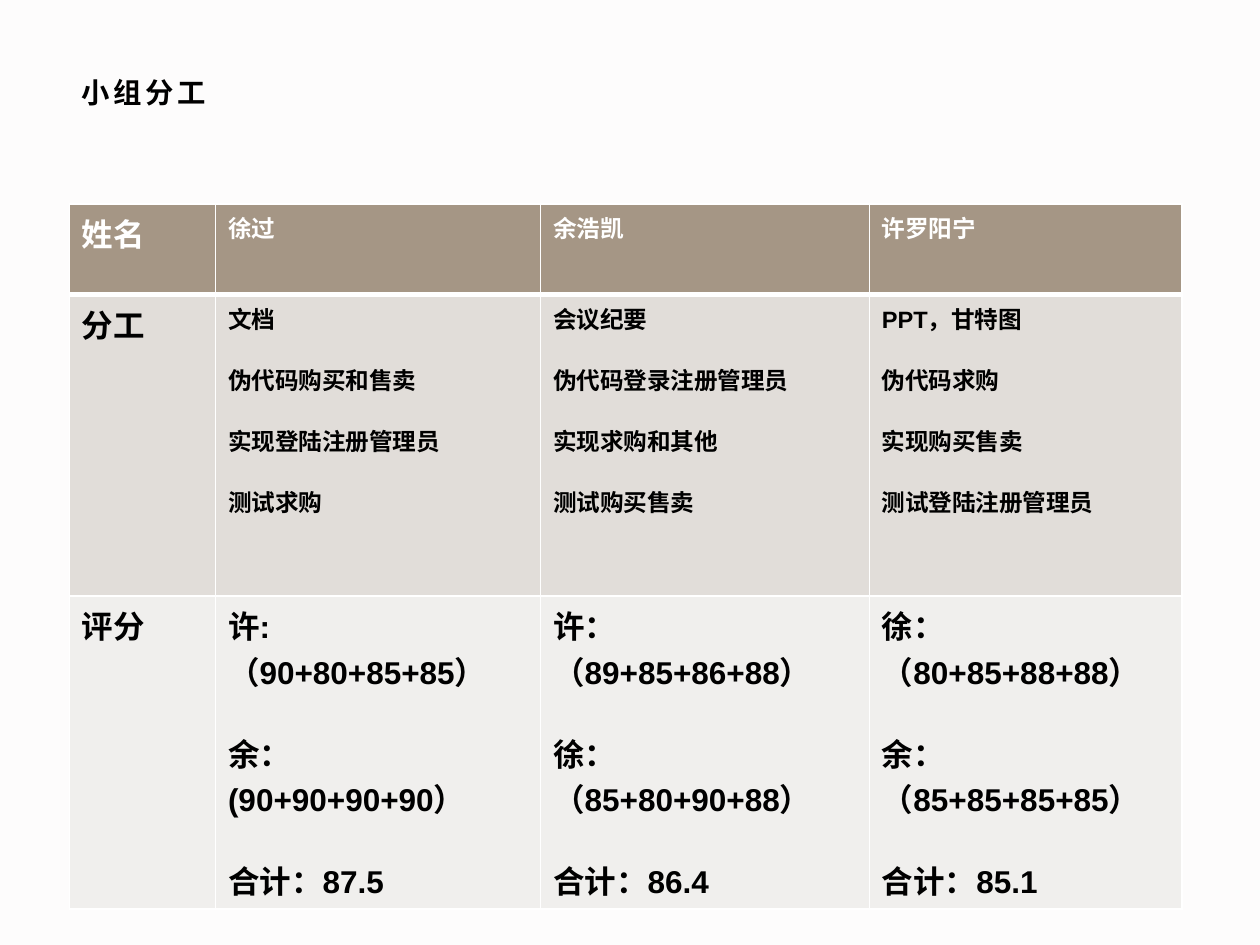
from lxml.etree import SubElement
from pptx import Presentation
from pptx.dml.color import RGBColor
from pptx.enum.text import MSO_ANCHOR, MSO_AUTO_SIZE, PP_ALIGN
from pptx.oxml.ns import qn
from pptx.util import Inches, Pt

COLORS = {
    "background": "FDFCFC",
    "header": "A59685",
    "duties": "E1DDD9",
    "scores": "F0EFED",
    "white": "FFFFFF",
    "black": "000000",
}
FONT = "Arial"
LARGE, SMALL = 18, 13.5
LINE_HEIGHT = 1.15

COLUMN_WIDTHS = [1.16, 2.58, 2.61, 2.48]
ROWS = [
    # height, fill, text colour, label, member text size, member cells
    (0.72, "header", "white", "姓名", SMALL,
     [["徐过"], ["余浩凯"], ["许罗阳宁"]]),
    (2.39, "duties", "black", "分工", SMALL,
     [["文档", "伪代码购买和售卖", "实现登陆注册管理员", "测试求购"],
      ["会议纪要", "伪代码登录注册管理员", "实现求购和其他", "测试购买售卖"],
      ["PPT，甘特图", "伪代码求购", "实现购买售卖", "测试登陆注册管理员"]]),
    (2.08, "scores", "black", "评分", LARGE,
     [["许:（90+80+85+85）", "余：(90+90+90+90）", "合计：87.5"],
      ["许：（89+85+86+88）", "徐：（85+80+90+88）", "合计：86.4"],
      ["徐：（80+85+88+88）", "余：（85+85+85+85）", "合计：85.1"]]),
]


def rgb(name):
    return RGBColor.from_string(COLORS[name])


class SlideBuilder:
    def __init__(self, presentation):
        self.width = presentation.slide_width
        self.height = presentation.slide_height
        self.slide = presentation.slides.add_slide(presentation.slide_layouts[5])
        background = self.slide.background.fill
        background.solid()
        background.fore_color.rgb = rgb("background")

    def box(self, left, top, width, height):
        """Turn shares of the slide's size into lengths."""
        return (round(left * self.width), round(top * self.height),
                round(width * self.width), round(height * self.height))

    def set_text(self, text_frame, lines, size, color):
        """Fill a frame, with an empty line's height between paragraphs."""
        text_frame.text = "\n".join(lines)
        for index, paragraph in enumerate(text_frame.paragraphs):
            paragraph.alignment = PP_ALIGN.LEFT
            if index:
                paragraph.space_before = Pt(round(size * LINE_HEIGHT, 1))
            for run in paragraph.runs:
                font = run.font
                font.name, font.size, font.bold = FONT, Pt(size), True
                font.color.rgb = rgb(color)

    def title(self, text, box, size, spacing):
        title = self.slide.shapes.title
        title.left, title.top, title.width, title.height = self.box(*box)
        frame = title.text_frame
        frame.auto_size = MSO_AUTO_SIZE.NONE
        frame.vertical_anchor = MSO_ANCHOR.MIDDLE
        self.set_text(frame, [text], size, "black")
        properties = frame.paragraphs[0].runs[0]._r.get_or_add_rPr()
        properties.set("spc", str(spacing * 100))

    def borders(self, cell, bottom, top):
        properties = cell._tc.get_or_add_tcPr()
        for side, width in (("L", 1), ("R", 1), ("T", top), ("B", bottom)):
            line = SubElement(properties, qn(f"a:ln{side}"), w=str(Pt(width)))
            fill = SubElement(line, qn("a:solidFill"))
            SubElement(fill, qn("a:srgbClr"), val=COLORS["white"])

    def table(self, rows, column_widths, box):
        table = self.slide.shapes.add_table(
            len(rows), len(column_widths), *self.box(*box)).table
        for column, width in zip(table.columns, column_widths):
            column.width = Inches(width)
        for index, (height, fill, color, label, size, members) in enumerate(rows):
            table.rows[index].height = Inches(height)
            for position, lines in enumerate([[label], *members]):
                cell = table.cell(index, position)
                self.set_text(cell.text_frame, lines, size if position else LARGE, color)
                self.borders(cell, bottom=3 if index == 0 else 1,
                             top=3 if index == 1 else 1)
                cell.fill.solid()
                cell.fill.fore_color.rgb = rgb(fill)


def main():
    presentation = Presentation()
    presentation.slide_width, presentation.slide_height = Inches(10), Inches(7.5)
    builder = SlideBuilder(presentation)
    builder.title("小组分工", (0.055, 0.073, 0.89, 0.048), size=16.2, spacing=2)
    builder.table(ROWS, COLUMN_WIDTHS, (0.055, 0.216, 0.882, 0.692))
    presentation.save("out.pptx")


if __name__ == "__main__":
    main()
